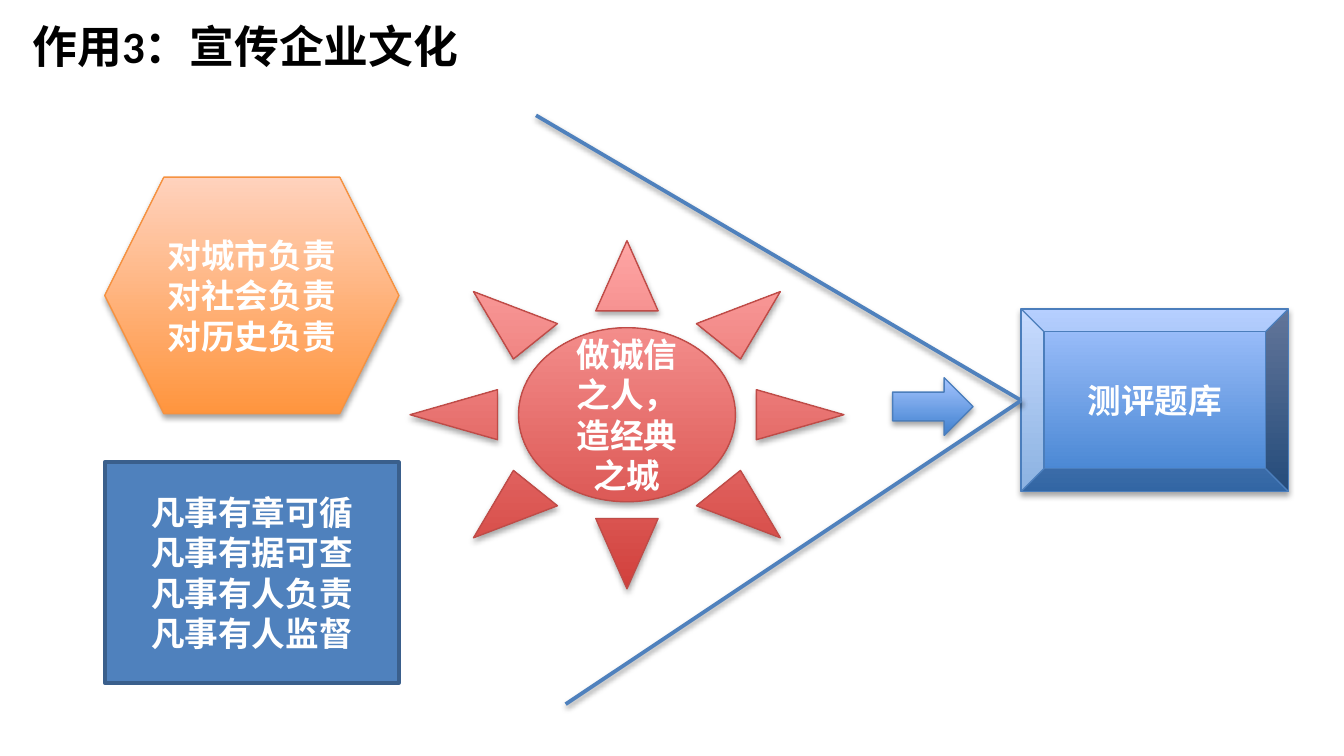
from dataclasses import dataclass
from typing import Optional

from lxml.etree import SubElement
from pptx import Presentation
from pptx.dml.color import RGBColor as RGB
from pptx.enum.shapes import MSO_CONNECTOR, MSO_SHAPE as Geo
from pptx.enum.text import MSO_ANCHOR as Anchor, PP_ALIGN as Align
from pptx.oxml.ns import qn
from pptx.util import Cm, Pt


@dataclass(frozen=True)
class Theme:
    font: str = "Calibri"
    title_size: int = 24
    body_size: int = 18
    black: str = "000000"
    white: str = "FFFFFF"
    blue: str = "4F81BD"


@dataclass(frozen=True)
class Palette:
    bottom: str
    line: str
    top: Optional[str] = None  # a second colour makes a gradient with a shadow
    width: float = 0.75


@dataclass(frozen=True)
class Block:
    geo: Geo
    box: tuple[float, float, float, float]  # left, top, width, height in cm
    palette: Palette
    text: str = ""


THEME = Theme()
NAVY = Palette(THEME.blue, "3A5F8C", width=2)
ORANGE = Palette("FF953E", "F69240", "FFD2BD")
RED = Palette("D1403C", "BF4C48", "FFA6A5")
BLUE = Palette("3F80CE", "4B7EBC", "A4C4FF")

BLOCKS = [
    Block(Geo.RECTANGLE, (1.98, 8.74, 5.56, 4.17), NAVY,
          "凡事有章可循\n凡事有据可查\n凡事有人负责\n凡事有人监督"),
    Block(Geo.HEXAGON, (1.98, 3.35, 5.56, 4.47), ORANGE,
          "对城市负责\n对社会负责\n对历史负责"),
    Block(Geo.SUN, (7.75, 4.55, 8.2, 6.58), RED, "做诚信之人，造经典之城"),
    Block(Geo.BEVEL, (19.3, 5.84, 5.05, 3.45), BLUE, "测评题库"),
    Block(Geo.RIGHT_ARROW, (16.87, 7.14, 1.52, 1.09), BLUE),
]
FUNNEL_TIP = (19.3, 7.57)
FUNNEL_ENDS = [(10.13, 2.18), (10.69, 13.31)]


def style_text(tf, size: int, color: str, align: Align) -> None:
    tf.word_wrap = True
    tf.vertical_anchor = Anchor.MIDDLE
    for p in tf.paragraphs:
        p.alignment = align
        for r in p.runs:
            r.font.name = THEME.font
            r.font.size = Pt(size)
            r.font.bold = True
            r.font.color.rgb = RGB.from_string(color)


def add_shadow(effects, alpha: int, distance: float) -> None:
    shadow = SubElement(effects, qn("a:outerShdw"), blurRad=str(Pt(3.1)),
                        dist=str(Pt(distance)), dir="5400000", rotWithShape="0")
    clr = SubElement(shadow, qn("a:srgbClr"), val=THEME.black)
    SubElement(clr, qn("a:alpha"), val=str(alpha * 1000))


def add_block(slide, block: Block) -> None:
    sp = slide.shapes.add_shape(block.geo, *map(Cm, block.box))
    pal = block.palette
    sp.line.color.rgb = RGB.from_string(pal.line)
    sp.line.width = Pt(pal.width)
    sp.shadow.inherit = False
    if pal.top:
        sp.fill.gradient()
        sp.fill.gradient_angle = 90
        for stop, color in zip(sp.fill.gradient_stops, (pal.bottom, pal.top)):
            stop.color.rgb = RGB.from_string(color)
        add_shadow(sp._element.spPr.find(qn("a:effectLst")), 35, 1.8)
    else:
        sp.fill.solid()
        sp.fill.fore_color.rgb = RGB.from_string(pal.bottom)
    if block.text:
        sp.text_frame.text = block.text
        style_text(sp.text_frame, THEME.body_size, THEME.white, Align.CENTER)


def add_funnel_line(slide, end: tuple[float, float]) -> None:
    line = slide.shapes.add_connector(
        MSO_CONNECTOR.STRAIGHT, *map(Cm, FUNNEL_TIP + end))
    line.line.color.rgb = RGB.from_string(THEME.blue)
    line.line.width = Pt(2)
    add_shadow(SubElement(line._element.spPr, qn("a:effectLst")), 38, 1.6)


def main() -> None:
    prs = Presentation()
    prs.slide_width, prs.slide_height = Cm(25.4), Cm(14.29)
    slide = prs.slides.add_slide(prs.slide_layouts[5])

    # Title
    title = slide.shapes.title
    title.left, title.top, title.width, title.height = map(
        Cm, (0.36, 0.2, 15.57, 1.32))
    title.text_frame.text = "作用3：宣传企业文化"
    style_text(title.text_frame, THEME.title_size, THEME.black, Align.LEFT)

    # Values, sun, question bank and arrow
    for block in BLOCKS:
        add_block(slide, block)

    # Funnel leading to the question bank
    for end in FUNNEL_ENDS:
        add_funnel_line(slide, end)

    prs.save("out.pptx")


if __name__ == "__main__":
    main()
